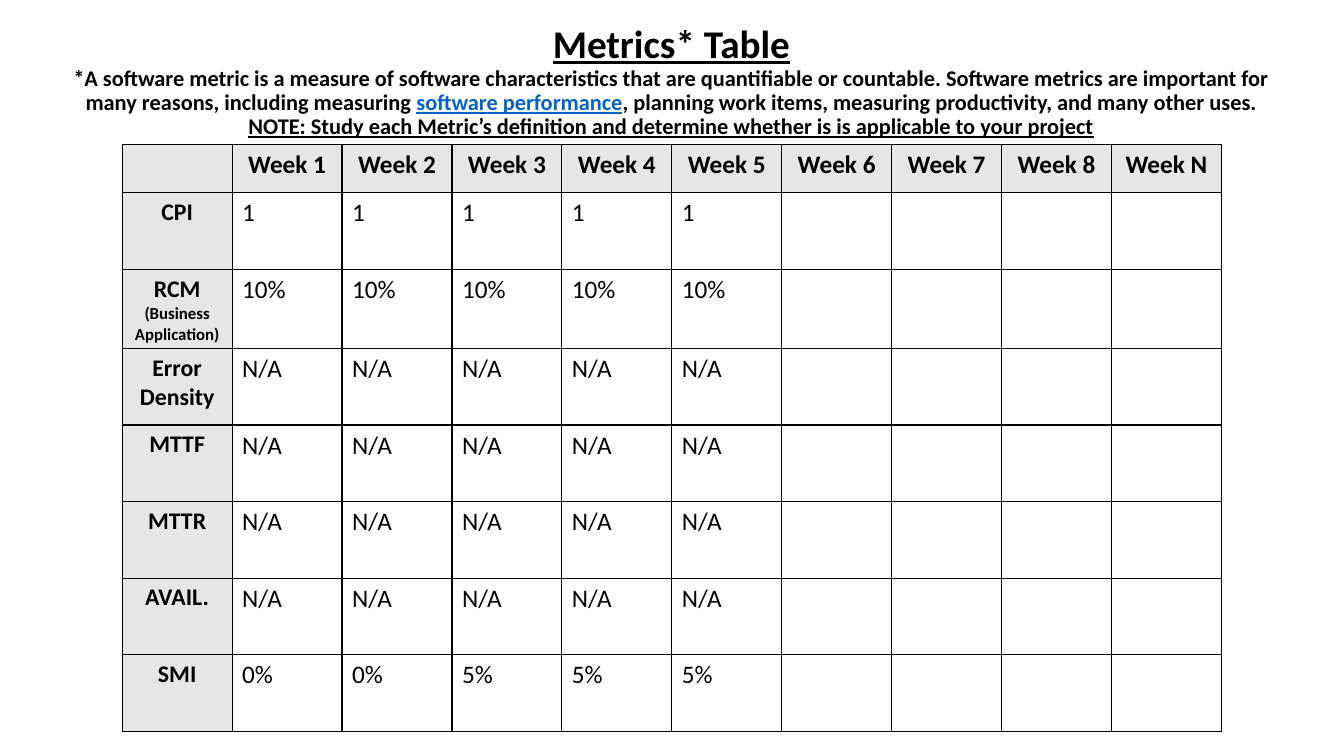
from dataclasses import dataclass

from lxml import etree
from pptx import Presentation
from pptx.dml.color import RGBColor
from pptx.enum import text as t
from pptx.oxml import ns
from pptx.util import Cm, Pt


@dataclass(frozen=True)
class Theme:
    font: str = "Calibri"
    ink: str = "000000"
    link: str = "0563C1"
    head: str = "E7E6E6"
    title: int = 28
    note: int = 16
    cell: int = 18
    label: int = 17
    small: int = 12


THEME = Theme()

# Each line is a type size and its runs: wording, colour, underline.
INTRO = [
    (THEME.title, [("Metrics* Table", THEME.ink, True)]),
    (THEME.note, [
        ("*A software metric is a measure of software characteristics that are "
         "quantifiable or countable. Software metrics are important for many "
         "reasons, including measuring\u00a0", THEME.ink, False),
        ("software performance", THEME.link, True),
        (", planning work items, measuring productivity, and many other uses.",
         THEME.ink, False)]),
    (THEME.note, [("NOTE: Study each Metric’s definition and determine whether "
                   "is is applicable to your project", THEME.ink, True)]),
]

WEEKS = [f"Week {n}" for n in [*range(1, 9), "N"]]
NA = ["N/A"] * 5
METRICS = [
    ("CPI", "", ["1"] * 5),
    ("RCM", "(Business Application)", ["10%"] * 5),
    ("Error Density", "", NA),
    ("MTTF", "", NA),
    ("MTTR", "", NA),
    ("AVAIL.", "", NA),
    ("SMI", "", ["0%", "0%", "5%", "5%", "5%"]),
]


def add_run(para, words, size, bold=True, color=THEME.ink, line=False):
    run = para.add_run()
    run.text = words
    font = run.font
    font.name, font.size, font.bold = THEME.font, Pt(size), bold
    font.underline = line
    font.color.rgb = RGBColor.from_string(color)


def add_intro(slide):
    box = slide.shapes.add_textbox(Cm(1.12), Cm(0.23), Cm(31.6), Cm(3.68))
    frame = box.text_frame
    frame.word_wrap = True
    frame.vertical_anchor = t.MSO_ANCHOR.MIDDLE
    for i, (size, runs) in enumerate(INTRO):
        para = frame.add_paragraph() if i else frame.paragraphs[0]
        para.alignment = t.PP_ALIGN.CENTER
        para.line_spacing = 0.9
        for words, color, line in runs:
            add_run(para, words, size, color=color, line=line)


def add_edges(cell):
    """Draw a thin line on all four sides, ahead of the fill in the XML."""
    props = cell._tc.get_or_add_tcPr()
    for i, side in enumerate(("lnL", "lnR", "lnT", "lnB")):
        edge = etree.Element(ns.qn(f"a:{side}"), w=str(Pt(1)))
        fill = etree.SubElement(edge, ns.qn("a:solidFill"))
        etree.SubElement(fill, ns.qn("a:srgbClr"), val=THEME.ink)
        props.insert(i, edge)


def style_cell(cell, head):
    if head:
        cell.fill.solid()
        cell.fill.fore_color.rgb = RGBColor.from_string(THEME.head)
    else:
        cell.fill.background()
    add_edges(cell)


def add_label(cell, words, size, note=""):
    frame = cell.text_frame
    add_run(frame.paragraphs[0], words, size)
    if note:
        add_run(frame.add_paragraph(), note, THEME.small)
    for para in frame.paragraphs:
        para.alignment = t.PP_ALIGN.CENTER


def add_grid(slide):
    rows, cols = len(METRICS) + 1, len(WEEKS) + 1
    frame = slide.shapes.add_table(
        rows, cols, Cm(3.08), Cm(3.64), Cm(27.7), Cm(14.73))
    grid = frame.table
    grid.first_row = grid.horz_banding = False
    for r, row in enumerate(grid.rows):
        row.height = Cm(1.93) if r else Cm(1.22)
        for c, cell in enumerate(row.cells):
            style_cell(cell, r == 0 or c == 0)
    for c, week in enumerate(WEEKS, 1):
        add_label(grid.cell(0, c), week, THEME.cell)
    for r, (name, note, values) in enumerate(METRICS, 1):
        add_label(grid.cell(r, 0), name, THEME.label, note)
        for c, value in enumerate(values, 1):
            para = grid.cell(r, c).text_frame.paragraphs[0]
            add_run(para, value, THEME.cell, bold=False)


def main():
    deck = Presentation()
    deck.slide_width, deck.slide_height = Cm(33.87), Cm(19.05)
    slide = deck.slides.add_slide(deck.slide_layouts[6])
    add_intro(slide)
    add_grid(slide)
    deck.save("out.pptx")


if __name__ == "__main__":
    main()
